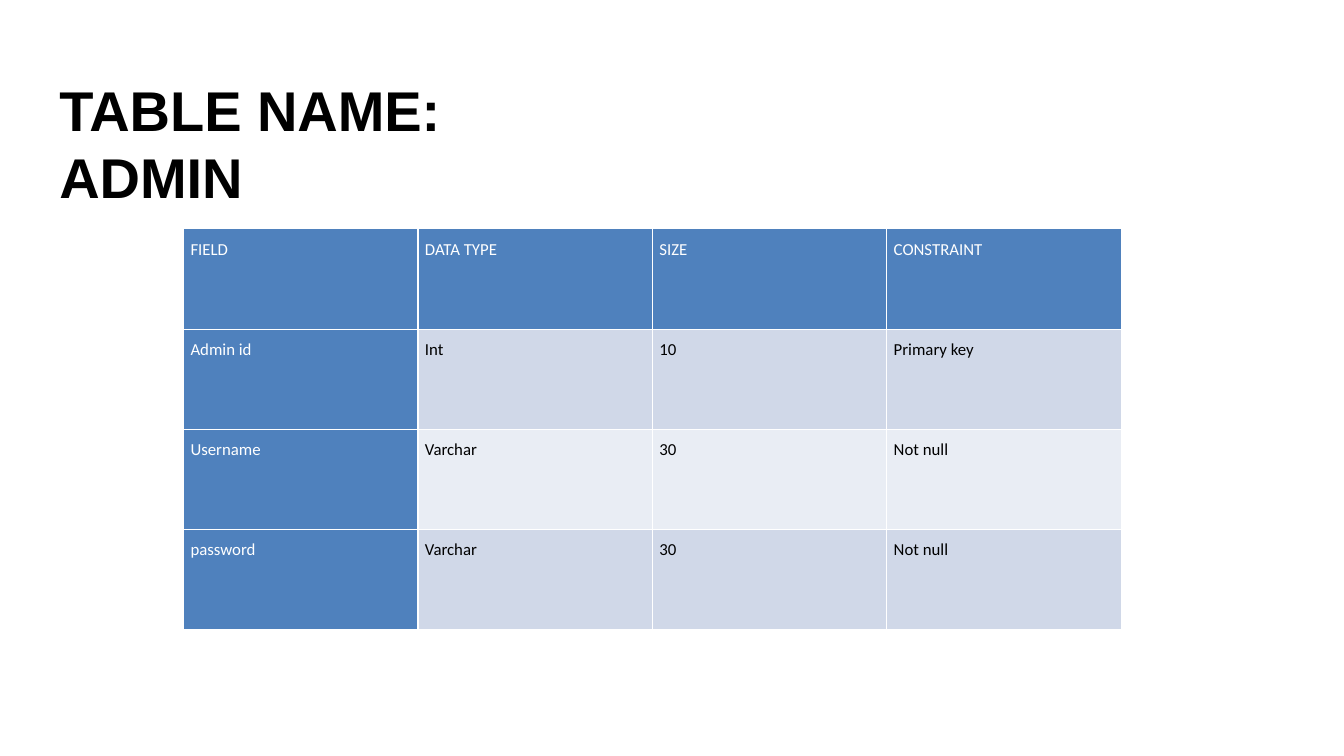
from lxml.etree import SubElement
from pptx import Presentation
from pptx.dml.color import RGBColor
from pptx.oxml.ns import qn
from pptx.util import Inches, Pt

WHITE, BLACK, BLUE = "FFFFFF", "000000", "4F81BD"
BANDS = ("D0D8E8", "E9EDF4")
FIELDS = (
    ("FIELD", "DATA TYPE", "SIZE", "CONSTRAINT"),
    ("Admin id", "Int", "10", "Primary key"),
    ("Username", "Varchar", "30", "Not null"),
    ("password", "Varchar", "30", "Not null"),
)


def color(code):
    return RGBColor.from_string(code)


def add_run(para, text, font, size, code, bold=False):
    run = para.add_run()
    run.text = text
    run.font.name = font
    run.font.size = Pt(size)
    run.font.bold = bold
    run.font.color.rgb = color(code)


def add_title(slide, text):
    box = slide.shapes.add_textbox(
        Inches(0.49), Inches(0.7), Inches(5.6), Inches(1.44))
    box.text_frame.word_wrap = True
    add_run(box.text_frame.paragraphs[0], text, "Arial", 40, BLACK, True)


def add_border(cell):
    props = cell._tc.get_or_add_tcPr()
    for side in ("lnL", "lnR", "lnT", "lnB"):
        line = SubElement(props, qn(f"a:{side}"), w=str(Pt(1)))
        fill = SubElement(line, qn("a:solidFill"))
        SubElement(fill, qn("a:srgbClr"), val=WHITE)


def fill_cell(cell, text, back, ink):
    cell.margin_left = cell.margin_right = Inches(0.07)
    cell.margin_top = cell.margin_bottom = 0
    add_border(cell)
    cell.fill.solid()
    cell.fill.fore_color.rgb = color(back)
    para = cell.text_frame.paragraphs[0]
    para.line_spacing = 1.5
    add_run(para, text, "Calibri", 12, ink)


def add_grid(slide, rows):
    frame = slide.shapes.add_table(
        len(rows), len(rows[0]),
        Inches(1.82), Inches(2.27), Inches(9.3), Inches(3.98))
    table = frame.table
    table.first_col = True
    for r, row in enumerate(rows):
        for c, text in enumerate(row):
            head = r == 0 or c == 0
            back = BLUE if head else BANDS[(r - 1) % 2]
            fill_cell(table.cell(r, c), text, back, WHITE if head else BLACK)


def main():
    deck = Presentation()
    deck.slide_width = Inches(13.33)
    deck.slide_height = Inches(7.5)
    slide = deck.slides.add_slide(deck.slide_layouts[6])
    add_title(slide, "TABLE NAME: ADMIN")
    add_grid(slide, FIELDS)
    deck.save("out.pptx")


if __name__ == "__main__":
    main()
